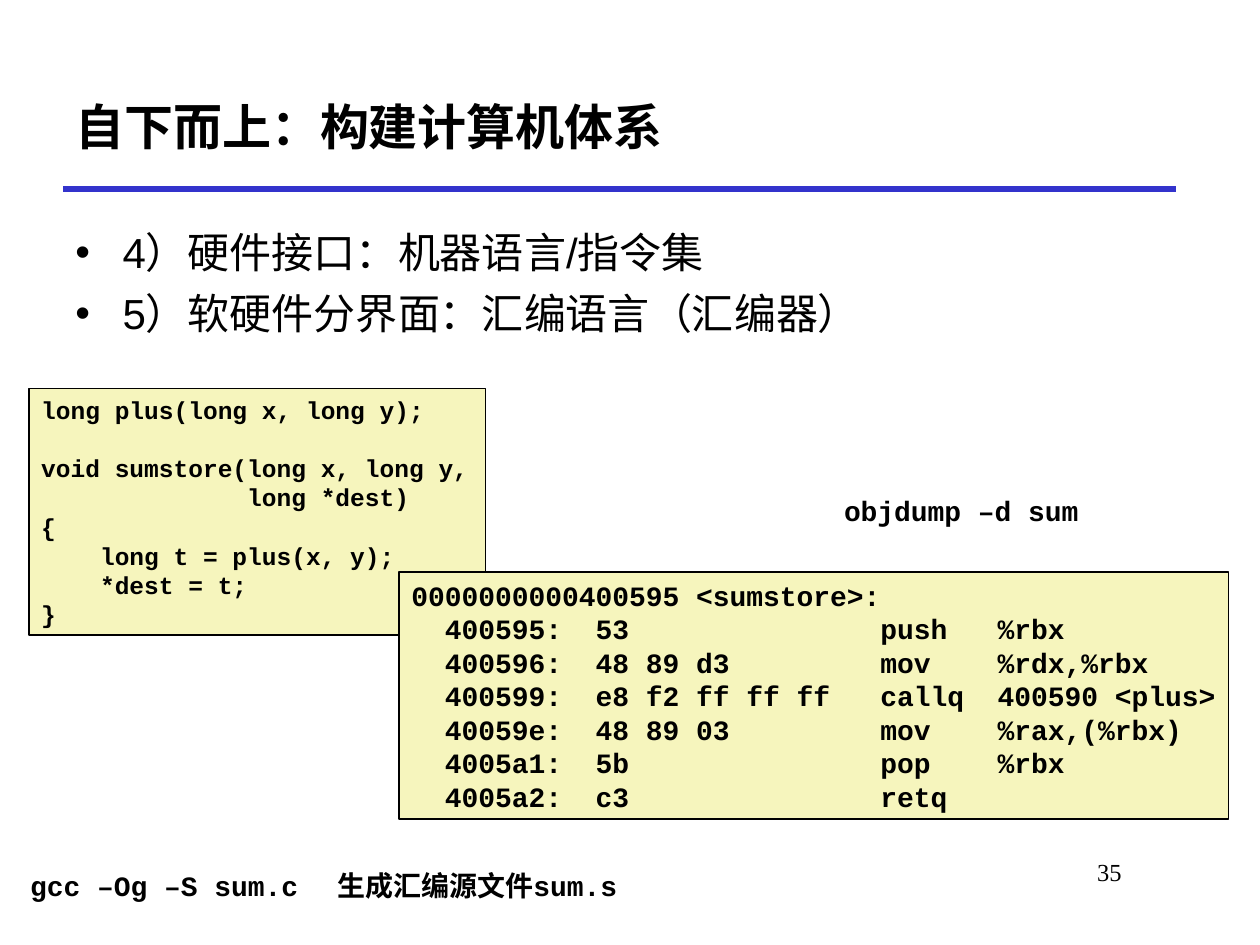
from dataclasses import dataclass
from typing import Optional

from lxml.etree import SubElement
from pptx import Presentation
from pptx.dml.color import RGBColor
from pptx.enum.shapes import MSO_CONNECTOR as Connector, MSO_SHAPE as Preset
from pptx.enum.text import MSO_ANCHOR as Anchor, PP_ALIGN as Align
from pptx.oxml.ns import qn
from pptx.util import Emu, Inches, Pt

COLUMNS, ROWS = 120, 90  # square cells, twelve to the inch
CELL = Inches(10) // COLUMNS
BLACK, RULE_BLUE, CODE_YELLOW = "000000", "3333CC", "F6F5BD"
CODE_FONT = "Courier New"
CODE_LEADING = 1.195

SUMSTORE_C = """\
long plus(long x, long y);

void sumstore(long x, long y,
              long *dest)
{
    long t = plus(x, y);
    *dest = t;
}"""

SUMSTORE_DUMP = """\
0000000000400595 <sumstore>:
  400595:  53               push   %rbx
  400596:  48 89 d3         mov    %rdx,%rbx
  400599:  e8 f2 ff ff ff   callq  400590 <plus>
  40059e:  48 89 03         mov    %rax,(%rbx)
  4005a1:  5b               pop    %rbx
  4005a2:  c3               retq"""


@dataclass(frozen=True)
class Area:
    column: float
    row: float
    columns: float
    rows: float

    def place(self) -> tuple:
        return tuple(cells(n) for n in (self.column, self.row, self.columns, self.rows))


@dataclass(frozen=True)
class Label:
    area: Area
    lines: tuple
    font: str
    size: float
    bold: bool = False
    align: Align = Align.LEFT
    anchor: Anchor = Anchor.TOP
    bulleted: bool = False
    tab: Optional[float] = None


@dataclass(frozen=True)
class Listing:
    area: Area
    code: str
    size: float


LABELS = (
    Label(Area(6, 6, 106, 12), ("自下而上：构建计算机体系",), "Comic Neue", 28,
          bold=True, anchor=Anchor.MIDDLE),
    Label(Area(6, 21, 109, 17),
          ("4）硬件接口：机器语言/指令集", "5）软硬件分界面：汇编语言（汇编器）"),
          "Arial", 24, bulleted=True),
    Label(Area(91, 81, 17, 6), ("35",), "Times New Roman", 14, align=Align.RIGHT),
    Label(Area(1.7, 82.1, 59, 4.4), ("gcc –Og –S sum.c\t生成汇编源文件sum.s",),
          CODE_FONT, 16, bold=True, tab=29.3),
    Label(Area(79.2, 46.4, 26, 4.4), ("objdump –d sum",), CODE_FONT, 16, bold=True),
)

LISTINGS = (
    Listing(Area(2.75, 37, 43.5, 23.5), SUMSTORE_C, 14),
    Listing(Area(38, 54.5, 79, 23.5), SUMSTORE_DUMP, 16),
)


def cells(count: float) -> Emu:
    return Emu(round(count * CELL))


def color(value: str) -> RGBColor:
    return RGBColor.from_string(value)


def style(paragraph, font: str, size: float, bold: bool) -> None:
    paragraph.font.name = font
    paragraph.font.size = Pt(size)
    paragraph.font.bold = bold
    paragraph.font.color.rgb = color(BLACK)


def add_bullet(paragraph) -> None:
    properties = paragraph._p.get_or_add_pPr()
    properties.set("marL", str(cells(4.5)))
    properties.set("indent", str(-cells(4.5)))
    SubElement(properties, qn("a:buFont"), typeface="Arial")
    SubElement(properties, qn("a:buChar"), char="•")


def add_tab(paragraph, position: float) -> None:
    stops = SubElement(paragraph._p.get_or_add_pPr(), qn("a:tabLst"))
    SubElement(stops, qn("a:tab"), pos=str(cells(position)), algn="l")


def draw_title_rule(slide) -> None:
    rule = slide.shapes.add_connector(
        Connector.STRAIGHT, cells(6), cells(18), cells(112), cells(18))
    rule.line.color.rgb = color(RULE_BLUE)
    rule.line.width = Pt(3)
    SubElement(rule._element.spPr, qn("a:effectLst"))


def draw_label(slide, label: Label) -> None:
    frame = slide.shapes.add_textbox(*label.area.place()).text_frame
    frame.word_wrap = True
    frame.vertical_anchor = label.anchor
    for number, line in enumerate(label.lines):
        paragraph = frame.add_paragraph() if number else frame.paragraphs[0]
        paragraph.text = line
        paragraph.alignment = label.align
        if number:
            paragraph.space_before = Pt(6)
        if label.bulleted:
            add_bullet(paragraph)
        if label.tab is not None:
            add_tab(paragraph, label.tab)
        style(paragraph, label.font, label.size, label.bold)


def draw_listing(slide, listing: Listing) -> None:
    """Draw a code box; an empty code line becomes space before the next one."""
    panel = slide.shapes.add_shape(Preset.RECTANGLE, *listing.area.place())
    panel.shadow.inherit = False
    panel.fill.solid()
    panel.fill.fore_color.rgb = color(CODE_YELLOW)
    panel.line.color.rgb = color(BLACK)
    panel.line.width = Pt(1)
    frame = panel.text_frame
    frame.word_wrap = True
    frame.vertical_anchor = Anchor.TOP
    leading = Pt(listing.size * CODE_LEADING)
    for block_number, block in enumerate(listing.code.split("\n\n")):
        for number, line in enumerate(block.split("\n")):
            first = block_number == number == 0
            paragraph = frame.paragraphs[0] if first else frame.add_paragraph()
            paragraph.text = line
            paragraph.alignment = Align.LEFT
            paragraph.line_spacing = leading
            if block_number and not number:
                paragraph.space_before = leading
            style(paragraph, CODE_FONT, listing.size, True)


def main() -> None:
    deck = Presentation()
    deck.slide_width, deck.slide_height = cells(COLUMNS), cells(ROWS)
    slide = deck.slides.add_slide(deck.slide_layouts[6])
    draw_title_rule(slide)
    for listing in LISTINGS:
        draw_listing(slide, listing)
    for label in LABELS:
        draw_label(slide, label)
    deck.save("out.pptx")


if __name__ == "__main__":
    main()
